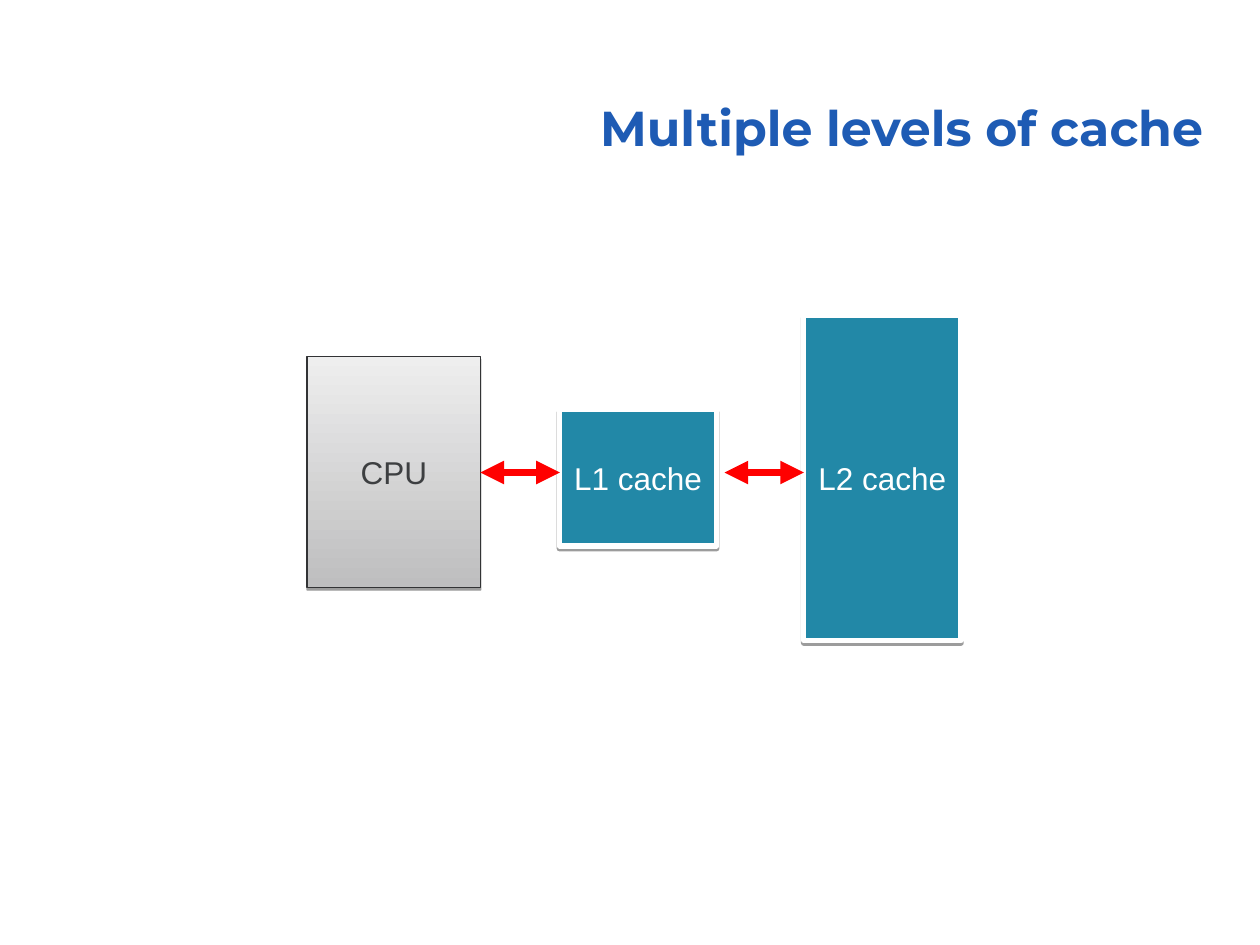
from typing import NamedTuple, Optional

from lxml.etree import SubElement
from pptx import Presentation
from pptx.dml.color import RGBColor
from pptx.enum.shapes import MSO_CONNECTOR, MSO_SHAPE
from pptx.enum.text import MSO_ANCHOR, PP_ALIGN
from pptx.oxml.ns import qn
from pptx.util import Pt

TITLE_BLUE = RGBColor(0x1E, 0x5B, 0xB4)
CACHE_TEAL = RGBColor(0x22, 0x88, 0xA7)
WHITE = RGBColor(0xFF, 0xFF, 0xFF)
GRAY_DARK = RGBColor(0xBE, 0xBE, 0xBF)
GRAY_LIGHT = RGBColor(0xEE, 0xEE, 0xEE)
CPU_OUTLINE = RGBColor(0x32, 0x33, 0x35)
CPU_TEXT = RGBColor(0x3D, 0x3F, 0x41)
ARROW_RED = RGBColor(0xFF, 0x00, 0x00)

ARROW_Y = 270
ARROW_LENGTH = 45.4


class Block(NamedTuple):
    label: str
    left: float
    top: float
    width: float
    height: float
    fill: Optional[RGBColor] = CACHE_TEAL
    outline: RGBColor = WHITE
    outline_width: float = 3
    text_color: RGBColor = WHITE


BLOCKS = [
    Block("CPU", 175.5, 203.6, 99.2, 132, None, CPU_OUTLINE, 0.75, CPU_TEXT),
    Block("L1 cache", 319.6, 234, 90, 78),
    Block("L2 cache", 459.2, 180, 90, 186),
]
ARROW_STARTS = [274.5, 414]


def write_text(frame, text: str, *, size: float, font: str, color: RGBColor,
               bold: bool = False, align=PP_ALIGN.CENTER,
               anchor=MSO_ANCHOR.MIDDLE, wrap: bool = False,
               line_spacing: float = 1.0) -> None:
    frame.word_wrap = wrap
    frame.vertical_anchor = anchor
    para = frame.paragraphs[0]
    para.alignment = align
    para.line_spacing = line_spacing
    span = para.add_run()
    span.text = text
    span.font.size = Pt(size)
    span.font.name = font
    span.font.bold = bold
    span.font.color.rgb = color


def add_drop_shadow(shape) -> None:
    shape.shadow.inherit = False
    effects = shape._element.spPr.find(qn("a:effectLst"))
    shadow = SubElement(effects, qn("a:outerShdw"), blurRad="0",
                        dist=str(Pt(1.6)), dir="5400000", rotWithShape="0")
    color = SubElement(shadow, qn("a:srgbClr"), val="000000")
    SubElement(color, qn("a:alpha"), val="38000")


def add_block(page, block: Block) -> None:
    box = page.shapes.add_shape(MSO_SHAPE.RECTANGLE, Pt(block.left), Pt(block.top),
                                Pt(block.width), Pt(block.height))
    if block.fill is None:
        box.fill.gradient()
        box.fill.gradient_angle = 90
        for stop, color in zip(box.fill.gradient_stops, (GRAY_DARK, GRAY_LIGHT)):
            stop.color.rgb = color
    else:
        box.fill.solid()
        box.fill.fore_color.rgb = block.fill
    box.line.color.rgb = block.outline
    box.line.width = Pt(block.outline_width)
    add_drop_shadow(box)
    write_text(box.text_frame, block.label, size=18, font="Arial", color=block.text_color)


def add_double_arrow(page, start: float) -> None:
    arrow = page.shapes.add_connector(MSO_CONNECTOR.STRAIGHT, Pt(start), Pt(ARROW_Y),
                                      Pt(start + ARROW_LENGTH), Pt(ARROW_Y))
    arrow.line.color.rgb = ARROW_RED
    arrow.line.width = Pt(4.5)
    outline = arrow.line._get_or_add_ln()
    for end in ("a:headEnd", "a:tailEnd"):
        SubElement(outline, qn(end), type="triangle")
    SubElement(arrow._element.spPr, qn("a:effectLst"))


def add_title(page, text: str) -> None:
    title = page.shapes.title
    title.left, title.top = Pt(211.7), Pt(38.2)
    title.width, title.height = Pt(483), Pt(55.4)
    write_text(title.text_frame, text, size=28, font="Montserrat", color=TITLE_BLUE,
               bold=True, align=PP_ALIGN.RIGHT, anchor=MSO_ANCHOR.BOTTOM,
               wrap=True, line_spacing=0.9)


def main() -> None:
    deck = Presentation()
    deck.slide_width, deck.slide_height = Pt(720), Pt(540)
    page = deck.slides.add_slide(deck.slide_layouts[5])
    add_title(page, "Multiple levels of cache")
    for block in BLOCKS:
        add_block(page, block)
    for start in ARROW_STARTS:
        add_double_arrow(page, start)
    deck.save("out.pptx")


if __name__ == "__main__":
    main()
